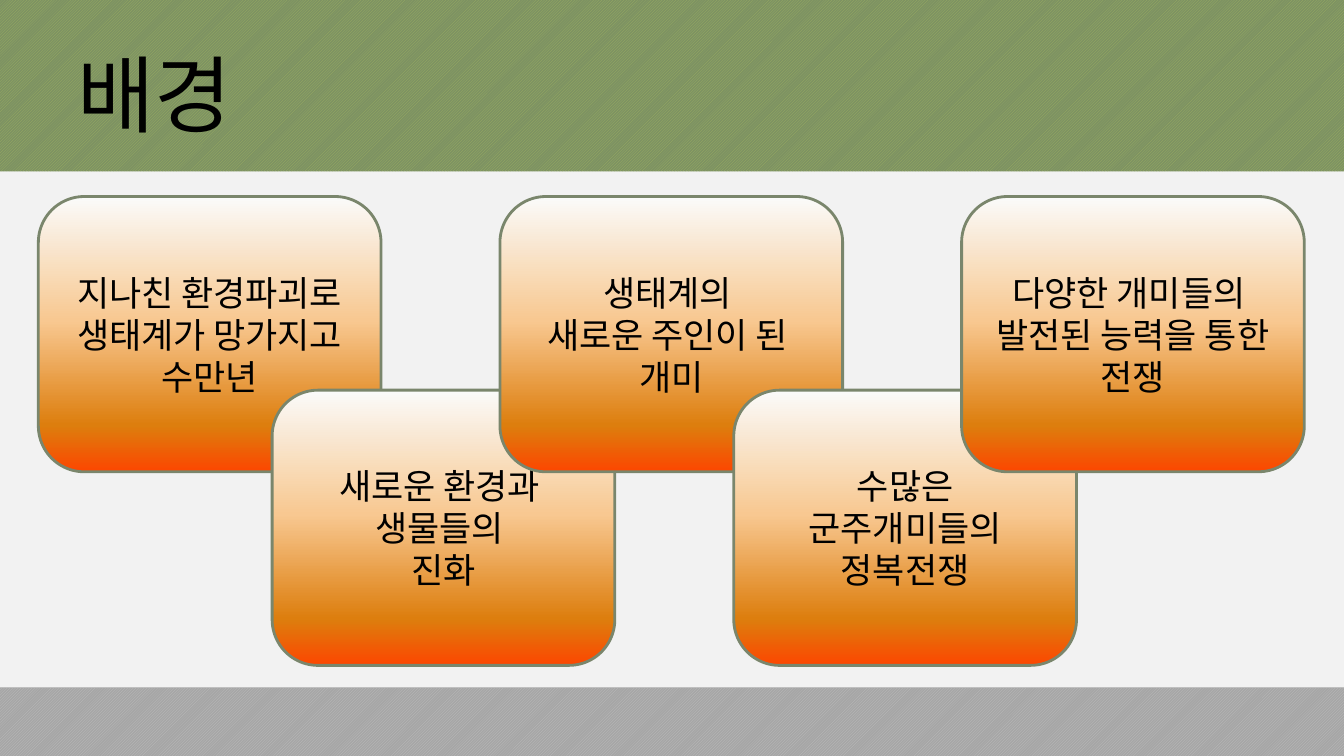
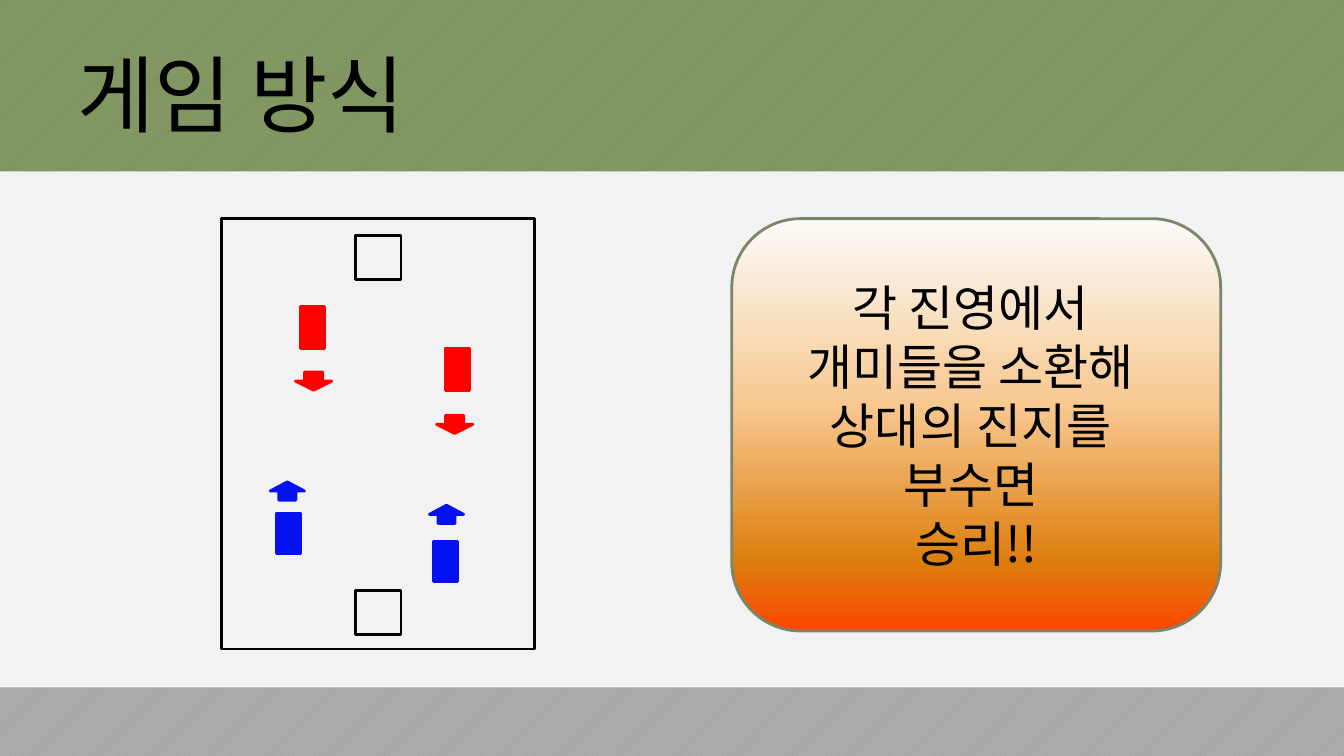
from lxml.etree import SubElement
from pptx import Presentation
from pptx.dml.color import RGBColor
from pptx.enum.dml import MSO_PATTERN as Pattern
from pptx.enum.shapes import MSO_SHAPE as Shape
from pptx.enum.text import MSO_ANCHOR as Anchor, PP_ALIGN as Align
from pptx.oxml.ns import qn
from pptx.util import Pt

WIDTH, HEIGHT = 960, 540
FONT = "Noto Sans CJK KR"
COLORS = {
    "page": "F2F2F2",
    "text": "000000",
    "card_edge": "7A866C",
    "header_line": "9EB160",
    "header": "7D9263",
    "footer_line": "BFBFBF",
    "footer": "A6A6A6",
    "red": "FF0000",
    "blue": "0611F2",
    "glow_top": "FAFBFA",
    "glow_light": "F8C891",
    "glow_dark": "DD7E0E",
    "glow_bottom": "FC4700",
}
GLOW = [(0, "glow_top"), (45, "glow_light"), (83, "glow_dark"), (100, "glow_bottom")]


def color(name):
    return RGBColor.from_string(COLORS[name])


class Deck:
    def __init__(self):
        self.deck = Presentation()
        self.deck.slide_width, self.deck.slide_height = Pt(WIDTH), Pt(HEIGHT)
        self.page = None

    def add_page(self, title):
        self.page = self.deck.slides.add_slide(self.deck.slide_layouts[6])
        background = self.page.background.fill
        background.solid()
        background.fore_color.rgb = color("page")
        self.band(0, 122.4, "header")
        self.band(491, 49, "footer")
        self.title(title)

    def shape(self, kind, left, top, width, height, fill=None, line=None):
        shape = self.page.shapes.add_shape(kind, Pt(left), Pt(top), Pt(width), Pt(height))
        shape.shadow.inherit = False
        if fill:
            shape.fill.solid()
            shape.fill.fore_color.rgb = color(fill)
        else:
            shape.fill.background()
        if line:
            shape.line.color.rgb = color(line)
            shape.line.width = Pt(2)
        else:
            shape.line.fill.background()
        return shape

    def band(self, top, height, name):
        fill = self.shape(Shape.RECTANGLE, 0, top, WIDTH, height).fill
        fill.patterned()
        fill.pattern = Pattern.DARK_UPWARD_DIAGONAL
        fill.fore_color.rgb = color(name + "_line")
        fill.back_color.rgb = color(name)

    def set_text(self, box, lines, size, align):
        frame = box.text_frame
        frame.word_wrap = True
        frame.vertical_anchor = Anchor.MIDDLE
        frame.text = "\n".join(lines)
        for para in frame.paragraphs:
            para.alignment = align
            para.font.size = Pt(size)
            para.font.name = FONT
            para.font.color.rgb = color("text")
            latin = para.font._element.find(qn("a:latin"))
            east_asian = SubElement(para.font._element, qn("a:ea"), typeface=FONT)
            latin.addnext(east_asian)
        return frame

    def title(self, text):
        box = self.page.shapes.add_textbox(Pt(48), Pt(21.6), Pt(864), Pt(90))
        self.set_text(box, [text], 60, Align.LEFT)

    def card(self, left, top, width, height, lines, size):
        card = self.shape(Shape.ROUNDED_RECTANGLE, left, top, width, height, line="card_edge")
        card.fill.gradient()
        card.fill.gradient_angle = 270
        stops = card._element.spPr.find(qn("a:gradFill")).find(qn("a:gsLst"))
        for stop in list(stops):
            stops.remove(stop)
        for percent, name in GLOW:
            stop = SubElement(stops, qn("a:gs"), pos=str(percent * 1000))
            SubElement(stop, qn("a:srgbClr"), val=COLORS[name])
        frame = self.set_text(card, lines, size, Align.CENTER)
        for para in frame.paragraphs:
            para.line_spacing = Pt(size * 1.2)

    def outline(self, left, top, width, height):
        self.shape(Shape.RECTANGLE, left, top, width, height, line="text")

    def army(self, name, arrow, body_height, arrow_width, bodies, arrows):
        for left, top in bodies:
            self.shape(Shape.RECTANGLE, left, top, 17.3, body_height, name, name)
        for left, top in arrows:
            self.shape(arrow, left, top, arrow_width, 13, name, name)


deck = Deck()

deck.add_page("배경")
story = [
    ["지나친 환경파괴로 생태계가 망가지고 수만년"],
    ["새로운 환경과 ", "생물들의 ", "진화"],
    ["생태계의 ", "새로운 주인이 된 ", "개미"],
    ["수많은 군주개미들의 정복전쟁"],
    ["다양한 개미들의 ", "발전된 능력을 통한 전쟁"],
]
for index, lines in enumerate(story):
    pair, lower = divmod(index, 2)
    deck.card(27.4 + 329.75 * pair + 167 * lower, 140.4 + 138.3 * lower, 244.8, 196.6, lines, 25)

deck.add_page("게임 방식")
deck.outline(158.4, 156.2, 223.2, 307.4)
for base_top in (168.5, 422):
    deck.outline(254.1, base_top, 32.4, 31)
deck.army("red", Shape.DOWN_ARROW, 30.2, 26,
          [(214.6, 218.9), (318.2, 248.6)], [(211, 265.7), (311.8, 296.6)])
deck.army("blue", Shape.UP_ARROW, 29, 24.5,
          [(197.3, 366.5), (309.6, 386.6)], [(193, 344.2), (306.7, 360.9)])
deck.card(522.7, 156.2, 349.2, 294.5,
          ["각 진영에서 ", "개미들을 소환해 ", "상대의 진지를 ", "부수면 ", "승리!!"], 35)

deck.deck.save("out.pptx")
